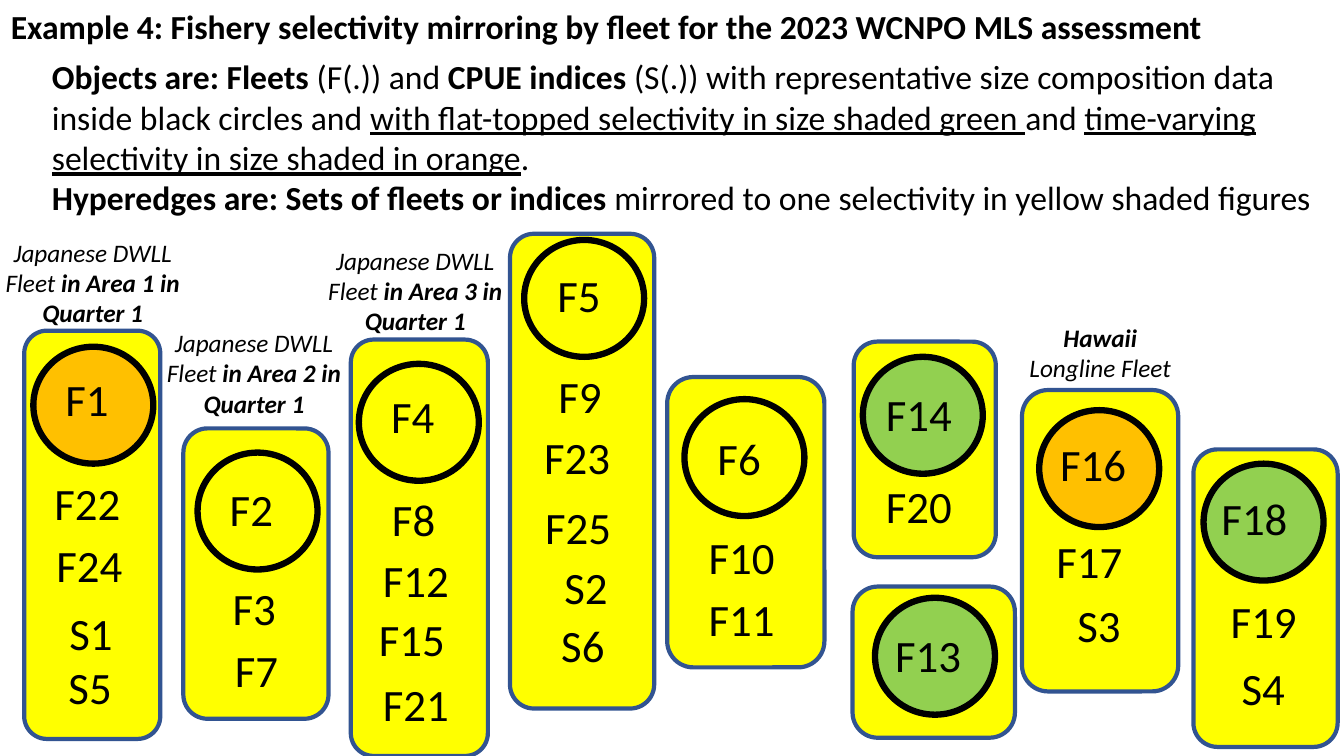
from collections import namedtuple
from dataclasses import dataclass

from pptx import Presentation
from pptx.dml.color import RGBColor
from pptx.enum import shapes, text
from pptx.util import Pt


@dataclass(frozen=True)
class Theme:
    font: str = "Calibri"
    ink: str = "000000"
    hyperedge: str = "FFFF00"
    border: str = "325491"
    flat_topped: str = "92D050"
    time_varying: str = "FFC000"
    body_size: int = 24
    label_size: int = 32
    note_size: int = 18


THEME = Theme()
CIRCLE_SIZE = (85.7, 83.5)
LABEL_HEIGHT = 46

# box: left, top, width, height; circle: left, top; members: label, left, top
Hyperedge = namedtuple("Hyperedge", "box circle shade members")

HYPEREDGES = [
    Hyperedge((609, 419, 116, 108), (625, 427), THEME.flat_topped,
              [("F13", 632.2, 445)]),
    Hyperedge((852.5, 321, 103, 212.5), (859.7, 331.2), THEME.flat_topped,
              [("F18", 865.4, 347), ("F19", 872, 420.5), ("S4", 879.8, 468.7)]),
    Hyperedge((730, 278.6, 111.6, 215.3), (742.3, 293), THEME.time_varying,
              [("F16", 750.2, 308.2), ("F17", 747.4, 378), ("S3", 762.5, 423.4)]),
    Hyperedge((609.8, 244, 101.5, 154), (616.3, 254.9), THEME.flat_topped,
              [("F14", 625.7, 272.9), ("F20", 625.7, 338.4)]),
    Hyperedge((476.6, 269.3, 112.3, 207.4), (488.9, 285.1), None,
              [("F6", 505.4, 303.8), ("F10", 499, 375.1), ("F11", 499, 419)]),
    Hyperedge((364.3, 167, 103, 339.1), (374.4, 171.4), None,
              [("F5", 391, 187.9), ("F9", 391.7, 259.9), ("F23", 381.6, 303.1),
               ("F25", 382.3, 353.5), ("S2", 396, 396), ("S6", 393.8, 437.8)]),
    Hyperedge((250.6, 242.6, 97.9, 297.4), (256.3, 259.9), None,
              [("F4", 272.2, 274.3), ("F8", 272.9, 347.8), ("F12", 266.4, 391),
               ("F15", 263.5, 433.4), ("F21", 266.4, 479.5)]),
    Hyperedge((131, 306, 103.7, 207.4), (141.1, 323.3), None,
              [("F2", 157, 340.6), ("F3", 159.1, 411.1), ("F7", 160.6, 455.8)]),
    Hyperedge((17.3, 236.2, 97.2, 291.6), (23.8, 247.7), THEME.time_varying,
              [("F1", 39.6, 262.1), ("F22", 31.7, 336.2), ("F24", 33.1, 380.2),
               ("S1", 42.5, 429.1), ("S5", 41.8, 468)]),
]

# Paragraphs are lists of (text, style); style letters: b bold, i italic, u underline
TITLE = [[("Example 4: Fishery selectivity mirroring by fleet for the 2023 "
           "WCNPO MLS assessment", "b")]]
EXPLANATION = [
    [("Objects are: Fleets", "b"), (" (F(.)) and ", ""), ("CPUE indices ", "b"),
     ("(S(.)) with representative size composition data inside black circles and ", ""),
     ("with flat-topped selectivity in size shaded green ", "u"), ("and ", ""),
     ("time-varying selectivity in size shaded in orange", "u"), (".", "")],
    [("Hyperedges are: Sets of fleets or indices ", "b"),
     ("mirrored to one selectivity in yellow shaded figures", "")],
]
HAWAII = [[("Hawaii", "bi")], [("Longline Fleet", "i")]]
JAPANESE_NOTES = [(1, -17.3, 165.6), (2, 97.9, 230.4), (3, 213.1, 171.4)]


def add_outline(slide, preset, bounds, fill, line, line_width):
    outline = slide.shapes.add_shape(preset, *map(Pt, bounds))
    outline.shadow.inherit = False
    if fill:
        outline.fill.solid()
        outline.fill.fore_color.rgb = RGBColor.from_string(fill)
    else:
        outline.fill.background()
    outline.line.color.rgb = RGBColor.from_string(line)
    outline.line.width = Pt(line_width)


def add_text(slide, bounds, paragraphs, size, centred=False):
    frame = slide.shapes.add_textbox(*map(Pt, bounds)).text_frame
    frame.word_wrap = True
    frame.auto_size = text.MSO_AUTO_SIZE.SHAPE_TO_FIT_TEXT
    for index, pieces in enumerate(paragraphs):
        paragraph = frame.add_paragraph() if index else frame.paragraphs[0]
        paragraph.alignment = text.PP_ALIGN.CENTER if centred else text.PP_ALIGN.LEFT
        for words, style in pieces:
            run = paragraph.add_run()
            run.text = words
            run.font.name = THEME.font
            run.font.size = Pt(size)
            run.font.color.rgb = RGBColor.from_string(THEME.ink)
            run.font.bold = "b" in style
            run.font.italic = "i" in style
            run.font.underline = "u" in style


def add_hyperedge(slide, hyperedge):
    add_outline(slide, shapes.MSO_SHAPE.ROUNDED_RECTANGLE, hyperedge.box,
                THEME.hyperedge, THEME.border, 3)
    add_outline(slide, shapes.MSO_SHAPE.OVAL, hyperedge.circle + CIRCLE_SIZE,
                hyperedge.shade, THEME.ink, 4.5)
    for label, left, top in hyperedge.members:
        width = 54 if len(label) == 2 else 76
        add_text(slide, (left, top, width, LABEL_HEIGHT), [[(label, "")]],
                 THEME.label_size)


def add_japanese_note(slide, area, left, top):
    note = [[("Japanese DWLL", "i")],
            [("Fleet ", "i"), (f"in Area {area} in Quarter 1", "bi")]]
    add_text(slide, (left, top, 167, 72.7), note, THEME.note_size, centred=True)


def main():
    deck = Presentation()
    deck.slide_width, deck.slide_height = Pt(960), Pt(540)
    slide = deck.slides.add_slide(deck.slide_layouts[6])

    # Mirrored groups
    for hyperedge in HYPEREDGES:
        add_hyperedge(slide, hyperedge)

    # Heading and explanation
    add_text(slide, (0.7, 0.7, 872, 36), TITLE, THEME.body_size)
    add_text(slide, (30, 36.7, 930, 124), EXPLANATION, THEME.body_size)

    # Fleet notes
    add_text(slide, (727.2, 226.8, 117.4, 51), HAWAII, THEME.note_size, centred=True)
    for area, left, top in JAPANESE_NOTES:
        add_japanese_note(slide, area, left, top)

    deck.save("out.pptx")


if __name__ == "__main__":
    main()
